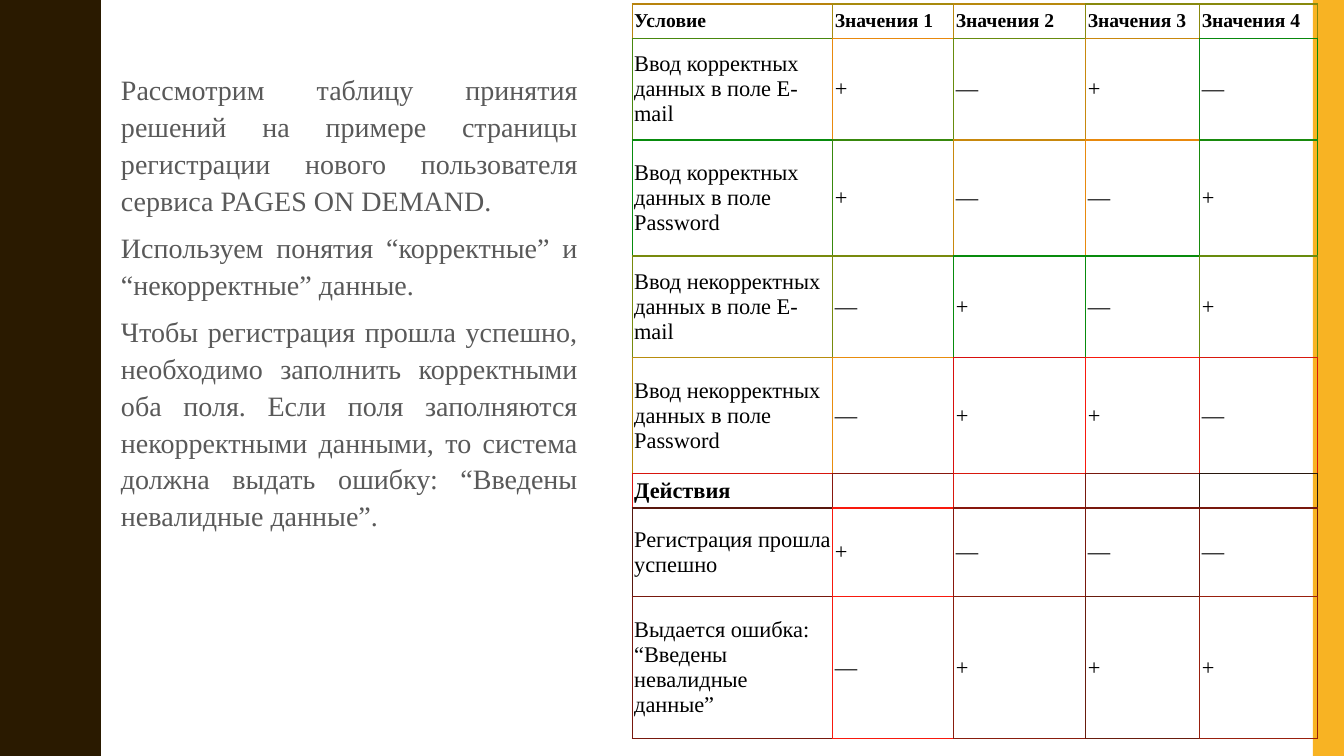
from lxml.etree import SubElement
from pptx import Presentation
from pptx.dml.color import RGBColor
from pptx.enum.shapes import MSO_SHAPE as Shape
from pptx.enum.text import MSO_ANCHOR as Anchor, MSO_AUTO_SIZE as AutoSize, PP_ALIGN as Align
from pptx.oxml import parse_xml
from pptx.oxml.ns import nsdecls, qn
from pptx.util import Inches, Pt

WIDTH, HEIGHT = 13.33, 7.5
FONT = "Times New Roman"
COLOURS = {"wave": "2A1A00", "bar": "F8B323", "body": "595959", "table": "000000"}

# One half of a wave: distance down and reach from the left edge
WAVE_PERIOD = 1.5
WAVE_HALF = [(0, .78), (.07, .78), (.14, .79), (.2, .8), (.25, .81),
             (.29, .83), (.33, .85), (.38, .87), (.42, .89), (.46, .91),
             (.5, .93), (.55, .95), (.61, .96), (.68, .97), (.75, .97)]

BODY = [
    "Рассмотрим таблицу принятия решений на примере страницы регистрации "
    "нового пользователя сервиса PAGES ON DEMAND.",
    "Используем понятия “корректные” и “некорректные” данные.",
    "Чтобы регистрация прошла успешно, необходимо заполнить корректными оба поля. "
    "Если поля заполняются некорректными данными, то система должна выдать ошибку: "
    "“Введены невалидные данные”.",
]

COLUMNS = [1.99, 1.2, 1.31, 1.13, 1.17]
ROWS = [
    (.34, ["Условие"] + [f"Значения {n}" for n in range(1, 5)]),
    (1.01, ["Ввод корректных данных в поле E-mail", *"+—+—"]),
    (1.15, ["Ввод корректных данных в поле Password", *"+——+"]),
    (1.01, ["Ввод некорректных данных в поле E-mail", *"—+—+"]),
    (1.15, ["Ввод некорректных данных в поле Password", *"—++—"]),
    (.34, ["Действия", "", "", "", ""]),
    (.88, ["Регистрация прошла успешно", *"+———"]),
    (1.41, ["Выдается ошибка: “Введены невалидные данные”", *"—+++"]),
]
HEADER_ROW, ACTIONS_ROW = 0, 5

# Each cell colours its left and top edges; neighbours close the others
EDGES = [line.split() for line in (
    "B8830D A88A0D B8890D 88890D 88890D",
    "48870D E8890D 688B0D C8880D 08880D",
    "088B0D 38880D C8880D E8890D 188A0D",
    "788A0D 788A0D 088B0D 088B0D 688B0D",
    "B88C0D E88C0D D80F0D F8190D D8180D",
    "D8150D 88170D D8180D 78180D 28170D",
    "58170D F8190D 88170D 78180D 78180D",
    "78180D F8190D 881D0D 681C0D 981F0D",
)]


def apply(target, formats):
    for name, value in formats.items():
        setattr(target, name, value)


def style_span(span, size, colour, bold=False):
    apply(span.font, {"name": FONT, "size": Pt(size), "bold": bold})
    span.font.color.rgb = RGBColor.from_string(colour)


def paint(shape, colour):
    shape.shadow.inherit = False
    shape.fill.solid()
    shape.fill.fore_color.rgb = RGBColor.from_string(colour)
    shape.line.fill.background()


def add_wave(page, height):
    half = WAVE_HALF + [(WAVE_PERIOD - down, reach) for down, reach in WAVE_HALF[-2::-1]]
    count = round(height / WAVE_PERIOD)
    edge = [(reach, n * WAVE_PERIOD + down) for n in range(count) for down, reach in half]
    builder = page.shapes.build_freeform(0, 0, scale=Inches(1))
    builder.add_line_segments(edge + [(0, height)], close=True)
    paint(builder.convert_to_shape(), COLOURS["wave"])


def add_bar(page, left, top, width, height):
    bar = page.shapes.add_shape(Shape.RECTANGLE, *map(Inches, (left, top, width, height)))
    paint(bar, COLOURS["bar"])


def fill_body(body, left, top, width, height):
    apply(body, {"left": Inches(left), "top": Inches(top),
                 "width": Inches(width), "height": Inches(height)})
    frame = body.text_frame
    apply(frame, {"word_wrap": True, "auto_size": AutoSize.NONE, "vertical_anchor": Anchor.TOP})
    for index, text in enumerate(BODY):
        para = frame.add_paragraph() if index else frame.paragraphs[0]
        apply(para, {"alignment": Align.JUSTIFY, "line_spacing": 1.1,
                     "space_before": Pt(7), "space_after": Pt(0)})
        properties = para._p.get_or_add_pPr()
        properties.set("marL", "0")
        properties.set("indent", "0")
        SubElement(properties, qn("a:buNone"))
        span = para.add_run()
        span.text = text
        style_span(span, 20, COLOURS["body"])


def set_borders(cell, borders):
    """Borders are (side, colour, points) in the order L, R, T, B."""
    properties = cell._tc.get_or_add_tcPr()
    for index, (side, colour, points) in enumerate(borders):
        line = parse_xml(
            f'<a:ln{side} {nsdecls("a")} w="{Pt(points)}"><a:solidFill>'
            f'<a:srgbClr val="{colour}"/></a:solidFill></a:ln{side}>')
        properties.insert(index, line)


def cell_borders(row, column):
    own = EDGES[row][column]
    last_row, last_column = row == len(ROWS) - 1, column == len(COLUMNS) - 1
    right = (own, .75) if last_column else (EDGES[row][column + 1], 1)
    bottom = (own, .75) if last_row else (EDGES[row + 1][column], 1)
    return [("L", own, 1), ("R", *right), ("T", own, 1), ("B", *bottom)]


def fill_cell(cell, text, size, bold):
    inset = Inches(.02)
    apply(cell, {"margin_left": inset, "margin_right": inset, "margin_top": inset,
                 "margin_bottom": inset, "vertical_anchor": Anchor.MIDDLE})
    cell.fill.background()
    para = cell.text_frame.paragraphs[0]
    if text:
        span = para.add_run()
        span.text = text
        style_span(span, size, COLOURS["table"], bold)
    else:
        SubElement(para._p, qn("a:endParaRPr"), sz=str(size * 100))


def add_decision_table(page, left, top):
    heights = [height for height, _ in ROWS]
    box = map(Inches, (left, top, sum(COLUMNS), sum(heights)))
    table = page.shapes.add_table(len(ROWS), len(COLUMNS), *box).table
    apply(table, {"first_row": False, "horz_banding": False})
    for column, width in zip(table.columns, COLUMNS):
        column.width = Inches(width)
    for row, (height, texts) in enumerate(ROWS):
        table.rows[row].height = Inches(height)
        for column, text in enumerate(texts):
            cell = table.cell(row, column)
            fill_cell(cell, text, 14 if row == HEADER_ROW else 16,
                      row in (HEADER_ROW, ACTIONS_ROW))
            set_borders(cell, cell_borders(row, column))


def main():
    deck = Presentation()
    apply(deck, {"slide_width": Inches(WIDTH), "slide_height": Inches(HEIGHT)})
    page = deck.slides.add_slide(deck.slide_layouts[1])
    title = page.shapes.title._element
    title.getparent().remove(title)
    add_wave(page, HEIGHT)
    add_bar(page, WIDTH - .31, 0, .31, HEIGHT)
    fill_body(page.placeholders[1], 1.1, .64, 4.73, 6.4)
    add_decision_table(page, 6.27, .04)
    deck.save("out.pptx")


if __name__ == "__main__":
    main()
